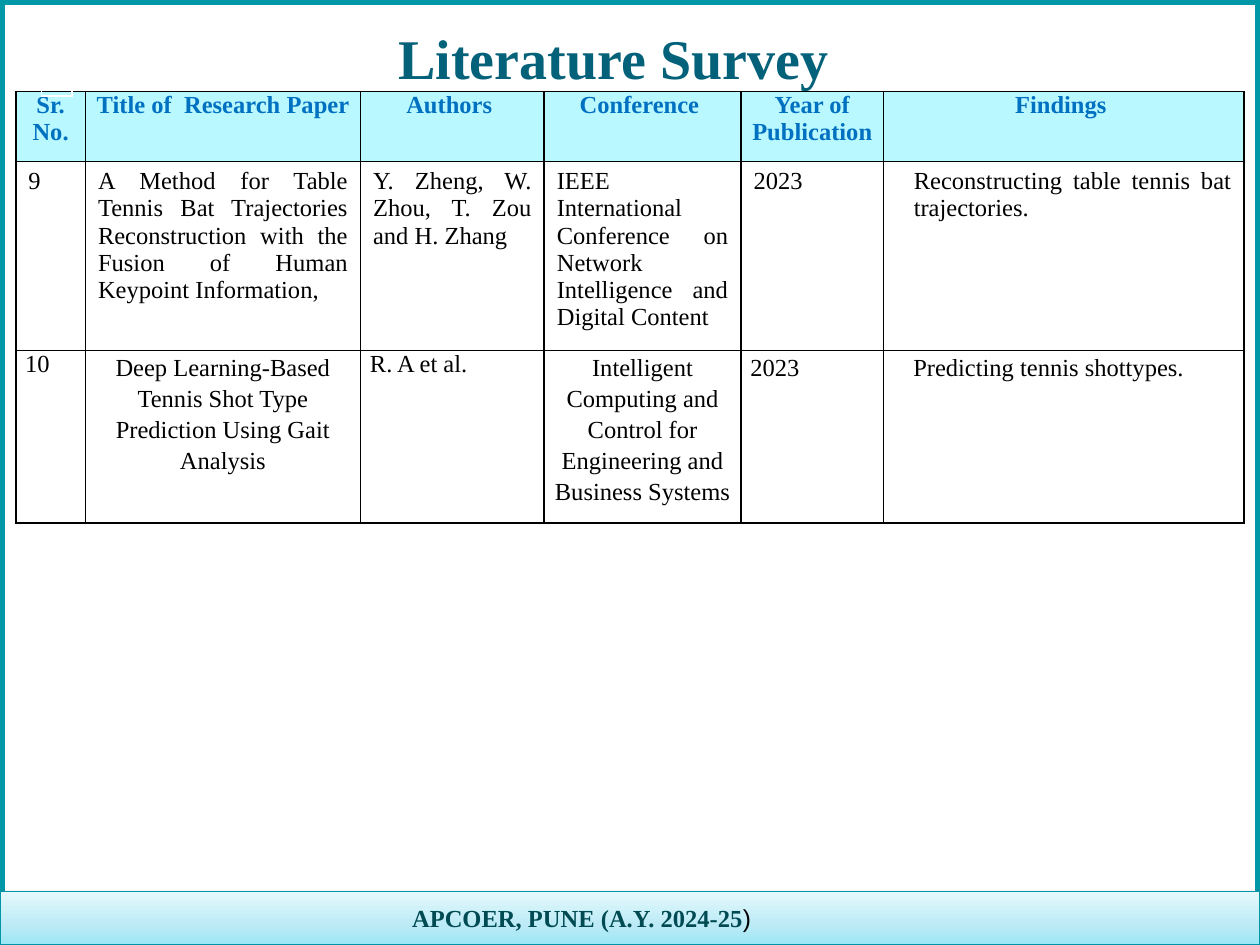
from copy import deepcopy

from pptx import Presentation
from pptx.dml.color import RGBColor
from pptx.enum import shapes, text
from pptx.oxml import parse_xml
from pptx.oxml import ns
from pptx.util import Pt

SERIF = "Times New Roman"
WHITE = RGBColor(0xFF, 0xFF, 0xFF)
BLACK = RGBColor(0, 0, 0)
FRAME_TEAL = RGBColor(0x00, 0x97, 0xA7)
BAR_TEAL = RGBColor(0x00, 0x96, 0xA7)
FOOTER_TEAL = RGBColor(0x00, 0x4B, 0x53)
TITLE_TEAL = RGBColor(0x04, 0x61, 0x7A)
HEADER_BLUE = RGBColor(0x00, 0x70, 0xC0)
HEADER_FILL = RGBColor(0xBA, 0xF8, 0xFF)
BAR_STOPS = [
    (0, RGBColor(0x9C, 0xE7, 0xF5)),
    (0.35, RGBColor(0xBB, 0xEA, 0xF6)),
    (1, RGBColor(0xE4, 0xF9, 0xFC)),
]

LEFT = text.PP_ALIGN.LEFT
CENTER = text.PP_ALIGN.CENTER
JUSTIFY = text.PP_ALIGN.JUSTIFY

COLUMN_WIDTHS = [39.8, 157.2, 105, 112.4, 81.6, 206]
ROW_HEIGHTS = [40, 108, 98.4]
TIGHT = (5.4, 0)
ROOMY = (7.2, 3.6)

HEADERS = ["Sr. No.", "Title of  Research Paper ", "Authors ", "Conference ",
           "Year of Publication ", "Findings "]
PAPER_9 = [
    ("9", LEFT, 1, 0),
    ("A Method for Table Tennis Bat Trajectories Reconstruction with the "
     "Fusion of Human Keypoint Information,", JUSTIFY, 1, 0),
    ("Y. Zheng, W. Zhou, T. Zou and H. Zhang", JUSTIFY, 1, 0),
    ("IEEE International Conference on Network Intelligence and "
     "Digital Content ", JUSTIFY, 1, 0),
    ("2023", JUSTIFY, 1, 0),
    ("Reconstructing table tennis bat trajectories.", JUSTIFY, 1, 10),
]
PAPER_10 = [
    ("10", LEFT, 1, 0),
    ("Deep Learning-Based Tennis Shot Type Prediction Using Gait Analysis",
     CENTER, 1.15, 0),
    ("R. A et al.", LEFT, 1, 0),
    ("Intelligent Computing and Control for Engineering and "
     "Business Systems ", CENTER, 1.15, 0),
    ("2023", LEFT, 1.15, 0),
    ("Predicting tennis shottypes.", LEFT, 1.15, 11.5),
]


def add_run(paragraph, content, size, color, bold=False, font=SERIF):
    run = paragraph.add_run()
    run.text = content
    run.font.name = font
    run.font.size = Pt(size)
    run.font.bold = bold
    run.font.color.rgb = color


def set_margins(target, horizontal, vertical):
    target.margin_left = target.margin_right = Pt(horizontal)
    target.margin_top = target.margin_bottom = Pt(vertical)


def add_rectangle(parent, left, top, width, height, line_color, line_width):
    shape = parent.shapes.add_shape(
        shapes.MSO_SHAPE.RECTANGLE, Pt(left), Pt(top), Pt(width), Pt(height))
    shape.shadow.inherit = False
    shape.line.color.rgb = line_color
    shape.line.width = Pt(line_width)
    return shape


def fill_gradient(shape, stops, angle):
    shape.fill.gradient()
    shape.fill.gradient_angle = angle
    stop_list = shape._element.spPr.find(".//" + ns.qn("a:gsLst"))
    stop_list.append(deepcopy(stop_list[0]))
    for stop, (position, color) in zip(shape.fill.gradient_stops, stops):
        stop.position = position
        stop.color.rgb = color


def add_shadow(shape):
    effects = shape._element.spPr.find(ns.qn("a:effectLst"))
    effects.append(parse_xml(
        f'<a:outerShdw {ns.nsdecls("a")} blurRad="{Pt(3.1)}" dist="{Pt(1.6)}" '
        'dir="5400000" rotWithShape="0"><a:srgbClr val="000000">'
        '<a:alpha val="38000"/></a:srgbClr></a:outerShdw>'))


def add_background(slide):
    group = slide.shapes.add_group_shape()
    frame = add_rectangle(group, 0, 0, 720, 540, FRAME_TEAL, 6)
    frame.fill.solid()
    frame.fill.fore_color.rgb = WHITE
    bar = add_rectangle(group, 0, 509.5, 720, 30.2, BAR_TEAL, 0.75)
    fill_gradient(bar, BAR_STOPS, 90)
    add_shadow(bar)
    footer = group.shapes.add_textbox(Pt(228.4), Pt(512.6), Pt(236.2), Pt(24.5))
    footer.text_frame.word_wrap = True
    paragraph = footer.text_frame.paragraphs[0]
    add_run(paragraph, "APCOER, PUNE (A.Y. 2024-25", 14, FOOTER_TEAL, True)
    add_run(paragraph, ")", 14, BLACK, font="Arial")


def place_title(slide):
    title = slide.shapes.title
    slide.shapes._spTree.append(title._element)
    title.left, title.top = Pt(226.8), Pt(12.6)
    title.width, title.height = Pt(247), Pt(39.6)
    frame = title.text_frame
    frame.auto_size = text.MSO_AUTO_SIZE.NONE
    frame.vertical_anchor = text.MSO_ANCHOR.TOP
    set_margins(frame, 0, 0)
    frame.margin_left = frame.margin_top = Pt(0.9)
    paragraph = frame.paragraphs[0]
    paragraph.alignment = LEFT
    add_run(paragraph, "Literature Survey", 32, TITLE_TEAL, True)


def add_borders(cell):
    properties = cell._tc.get_or_add_tcPr()
    for side in ("L", "R", "T", "B"):
        properties.append(parse_xml(
            f'<a:ln{side} {ns.nsdecls("a")} w="{Pt(1)}"><a:solidFill>'
            f'<a:srgbClr val="{BLACK}"/></a:solidFill></a:ln{side}>'))


def write_cell(cell, entry, margins, color=BLACK, bold=False, fill=None):
    content, alignment, spacing, indent = entry
    set_margins(cell, *margins)
    add_borders(cell)
    if fill is None:
        cell.fill.background()
    else:
        cell.fill.solid()
        cell.fill.fore_color.rgb = fill
    paragraph = cell.text_frame.paragraphs[0]
    paragraph.alignment = alignment
    paragraph.line_spacing = spacing
    if indent:
        paragraph._p.get_or_add_pPr().set("marL", str(Pt(indent)))
    add_run(paragraph, content, 14, color, bold)


def add_grid(slide, left, top, widths, heights):
    table = slide.shapes.add_table(
        len(heights), len(widths), Pt(left), Pt(top),
        Pt(sum(widths)), Pt(sum(heights))).table
    table.first_row = table.horz_banding = False
    for column, width in zip(table.columns, widths):
        column.width = Pt(width)
    for row, height in zip(table.rows, heights):
        row.height = Pt(height)
    return table


def add_survey_table(slide):
    table = add_grid(slide, 9, 52.4, COLUMN_WIDTHS, ROW_HEIGHTS)
    for cell, header in zip(table.rows[0].cells, HEADERS):
        write_cell(cell, (header, CENTER, 1, 0), TIGHT, HEADER_BLUE, True,
                   HEADER_FILL)
    for index, paper, margins in ((1, PAPER_9, ROOMY), (2, PAPER_10, TIGHT)):
        for cell, entry in zip(table.rows[index].cells, paper):
            write_cell(cell, entry, margins)


def add_blank_table(slide):
    table = add_grid(slide, 23.8, 23.8, [16.6], [31])
    table.cell(0, 0).fill.background()


def main():
    presentation = Presentation()
    presentation.slide_width = Pt(720)
    presentation.slide_height = Pt(540)
    slide = presentation.slides.add_slide(presentation.slide_layouts[5])
    add_background(slide)
    place_title(slide)
    add_survey_table(slide)
    add_blank_table(slide)
    presentation.save("out.pptx")


if __name__ == "__main__":
    main()
